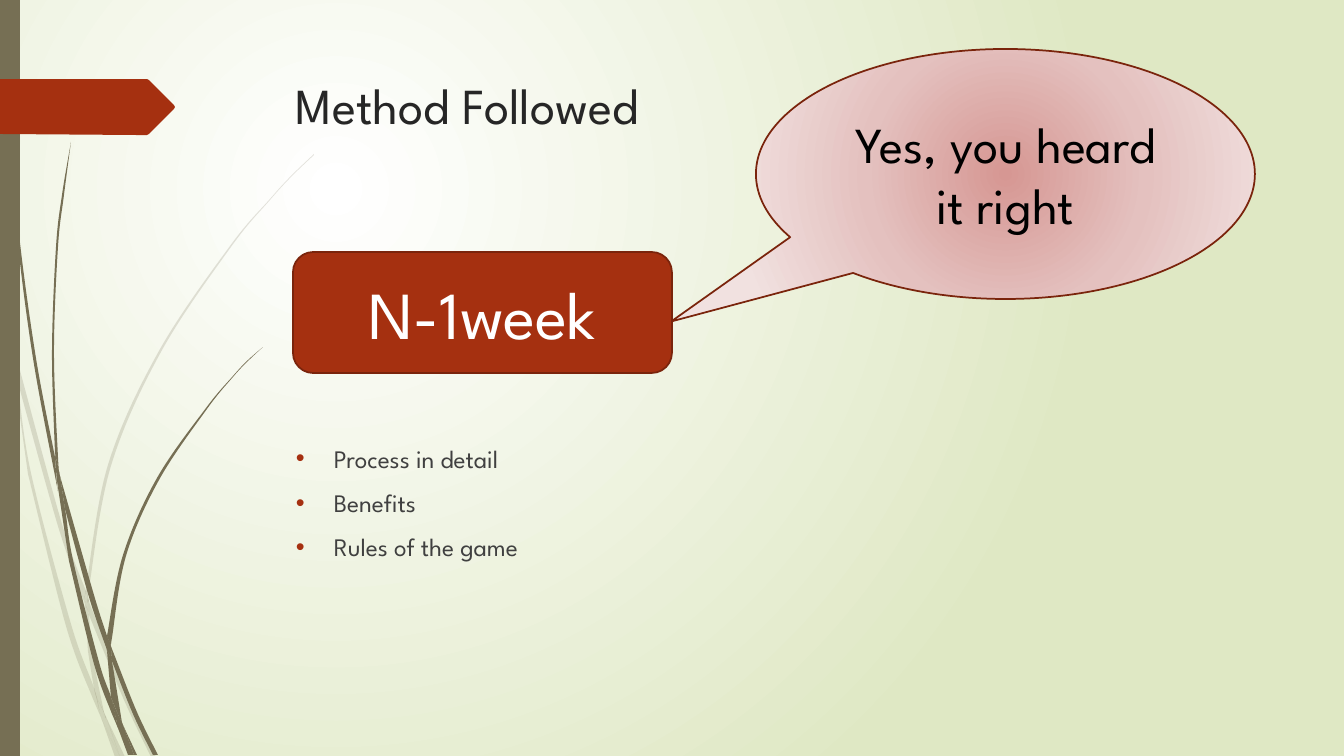
from lxml.etree import SubElement
from pptx import Presentation
from pptx.dml.color import RGBColor
from pptx.enum.shapes import MSO_SHAPE
from pptx.enum.text import MSO_ANCHOR, PP_ALIGN
from pptx.oxml.ns import qn
from pptx.util import Pt

FONT = "League Spartan"
RUST, RUST_DARK, OLIVE = "A53010", "7A240C", "766F54"
TITLE = "Method Followed"
TOPICS = ["Process in detail", "Benefits", "Rules of the game"]
SPEECH = "Yes, you heard it right"
PERIOD = "N-1week"

# Grass pieces in px: one long edge, then the other edge on the way back
PALE_GRASS = [
    ([(0, 284), (9, 325), (11, 353)], [(10, 347), (0, 301)]),
    ([(14, 348), (62, 524), (86, 591)], [(85, 604), (58, 526), (17, 379)]),
    ([(89, 601), (93, 612), (128, 698), (156, 757)], [(151, 757), (124, 700), (89, 615)]),
    ([(106, 717), (125, 757)], [(120, 757)]),
    ([(11, 353), (17, 379), (31, 473), (71, 624), (94, 688), (100, 713), (102, 720)],
     [(93, 699), (66, 626), (28, 474)]),
    ([(85, 604), (89, 615), (92, 651), (104, 712), (106, 717)],
     [(97, 698), (94, 688), (88, 651)]),
    ([(314, 154), (291, 176), (270, 199), (230, 246), (159, 351), (108, 465), (86, 589),
      (86, 591)],
     [(89, 601), (89, 589), (111, 466), (161, 352), (231, 247), (270, 200), (292, 176),
      (314, 155)]),
    ([(102, 720), (120, 757)], [(115, 757)]),
    ([(86, 591), (89, 601), (89, 615)], [(89, 613), (85, 604)]),
    ([(94, 688), (97, 698), (106, 717), (120, 757)], [(102, 720), (100, 713)]),
]
DARK_GRASS = [
    ([(3, 0), (4, 48), (7, 111), (17, 235), (33, 358), (56, 481), (57, 485)],
     [(55, 457), (36, 358), (19, 234), (8, 110), (5, 48), (4, 0)]),
    ([(60, 476), (94, 595), (107, 636), (107, 638)], [(107, 650), (89, 597), (65, 509)]),
    ([(111, 646), (114, 654), (137, 712), (158, 755)], [(153, 755), (133, 714), (112, 661)]),
    ([(57, 481), (65, 509), (73, 560), (99, 662), (111, 697), (117, 723), (118, 728)],
     [(112, 714), (94, 664), (69, 561)]),
    ([(71, 142), (64, 195), (58, 247), (54, 352), (58, 457), (60, 476)],
     [(55, 453), (52, 352), (56, 247), (62, 195), (71, 142)]),
    ([(123, 725), (137, 755)], [(134, 755)]),
    ([(55, 453), (60, 476), (65, 509)], [(57, 481), (55, 457)]),
    ([(263, 347), (247, 361), (233, 376), (206, 408), (157, 478), (123, 555), (107, 636)],
     [(111, 646), (112, 638), (126, 556), (159, 480), (207, 409), (233, 377), (247, 362),
      (263, 347)]),
    ([(118, 728), (128, 755)], [(132, 755)]),
    ([(107, 650), (110, 656), (112, 661), (122, 722), (123, 725)], [(117, 712), (111, 697)]),
    ([(107, 636), (111, 646), (112, 661)], [(110, 656), (107, 650)]),
    ([(111, 697), (117, 712), (123, 725), (134, 755)], [(131, 755), (118, 728), (117, 723)]),
]
TAG = [(0, 79), (147, 79), (149, 80), (174, 105), (175, 107), (174, 109), (149, 134),
       (147, 135), (137, 135), (0, 134)]


def px(n):
    return round(n * 12192000 / 1344)


def rgb(value):
    return RGBColor.from_string(value)


def paint(sp, fill, line=None, alpha=None):
    sp.shadow.inherit = False
    sp.fill.solid()
    sp.fill.fore_color.rgb = rgb(fill)
    if alpha:
        color = sp.element.spPr.find(qn("a:solidFill"))[0]
        SubElement(color, qn("a:alpha"), val=str(alpha * 1000))
    if line:
        sp.line.color.rgb = rgb(line)
        sp.line.width = Pt(1.25)
    else:
        sp.line.fill.background()


def radial(owner, fill, stops, focus):
    fill.gradient()
    grad = owner.element.find(".//" + qn("a:gradFill"))
    grad.clear()
    gs_list = SubElement(grad, qn("a:gsLst"))
    for pos, color in stops:
        gs = SubElement(gs_list, qn("a:gs"), pos=str(pos * 1000))
        SubElement(gs, qn("a:srgbClr"), val=color)
    path = SubElement(grad, qn("a:path"), {"path": "circle"})
    edges = {side: str(n * 1000) for side, n in zip("ltrb", focus)}
    SubElement(path, qn("a:fillToRect"), edges)


def write(p, text, size, color, align=PP_ALIGN.LEFT):
    p.alignment = align
    r = p.add_run()
    r.text = text
    r.font.name, r.font.size = FONT, Pt(size)
    r.font.color.rgb = rgb(color)


def center_text(sp, text, size, color):
    tf = sp.text_frame
    tf.word_wrap = True
    tf.vertical_anchor = MSO_ANCHOR.MIDDLE
    write(tf.paragraphs[0], text, size, color, PP_ALIGN.CENTER)


def text_area(x, y, w, h):
    tf = s.shapes.add_textbox(px(x), px(y), px(w), px(h)).text_frame
    tf.word_wrap = True
    return tf


def add_outline(points):
    points = [(px(x), px(y)) for x, y in points]
    builder = s.shapes.build_freeform(*points[0])
    builder.add_line_segments(points[1:], close=True)
    return builder.convert_to_shape()


def curve_points(edge):
    """Two control points and an end point for each step of a smooth edge."""
    ends = [edge[0]] + edge + [edge[-1]]
    points = []
    for a, b, c, d in zip(ends, ends[1:], ends[2:], ends[3:]):
        points.append([q + (r - p) / 6 for p, q, r in zip(a, b, c)])
        points.append([q - (r - p) / 6 for p, q, r in zip(b, c, d)])
        points.append(c)
    return points


def add_grass(there, back, alpha=None):
    turn = [there[-1], back[0], back[0]]
    sp = add_outline([there[0]] + curve_points(there) + turn + curve_points(back))
    path = sp.element.find(".//" + qn("a:path"))
    lines = path.findall(qn("a:lnTo"))
    for trio in zip(lines[::3], lines[1::3], lines[2::3]):
        curve = SubElement(path, qn("a:cubicBezTo"))
        trio[0].addprevious(curve)
        for line in trio:
            curve.append(line[0])
            path.remove(line)
    paint(sp, OLIVE, alpha=alpha)


def add_box(kind, x, y, w, h, fill, line=None):
    sp = s.shapes.add_shape(kind, px(x), px(y), px(w), px(h))
    paint(sp, fill, line)
    return sp


prs = Presentation()
prs.slide_width, prs.slide_height = px(1344), px(756)
s = prs.slides.add_slide(prs.slide_layouts[6])

# Background and decoration
radial(s, s.background.fill, [(0, "FFFFFF"), (100, "DFE8C4")], (50, 50, 100, 100))
for there, back in PALE_GRASS:
    add_grass(there, back, alpha=20)
for there, back in DARK_GRASS:
    add_grass(there, back)
add_box(MSO_SHAPE.RECTANGLE, 0, 0, 20, 756, OLIVE)
paint(add_outline(TAG), RUST)

# Title
write(text_area(286, 69, 983, 141).paragraphs[0], TITLE, 36, "262626")

# Bulleted topics
tf = text_area(286, 438, 983, 275)
for i, topic in enumerate(TOPICS):
    p = tf.add_paragraph() if i else tf.paragraphs[0]
    p.space_before = Pt(10)
    write(p, topic, 18, "404040")
    pPr = p._p.get_or_add_pPr()
    pPr.set("marL", str(px(38)))
    pPr.set("indent", str(-px(38)))
    SubElement(SubElement(pPr, qn("a:buClr")), qn("a:srgbClr"), val=RUST)
    SubElement(pPr, qn("a:buFont"), typeface="Arial")
    SubElement(pPr, qn("a:buChar"), char="•")

# Speech bubble
bubble = add_box(MSO_SHAPE.OVAL_CALLOUT, 756, 49, 499, 250, "E4C1BF", RUST_DARK)
bubble.adjustments[0], bubble.adjustments[1] = -0.67, 0.59
radial(bubble, bubble.fill, [(0, "D69793"), (50, "E4C1BF"), (100, "F1E1E0")],
       (50, 50, 50, 50))
center_text(bubble, SPEECH, 36, "000000")

# Period box
period = add_box(MSO_SHAPE.ROUNDED_RECTANGLE, 293, 252, 379, 121, RUST, RUST_DARK)
center_text(period, PERIOD, 48, "FFFFFF")

prs.save("out.pptx")
